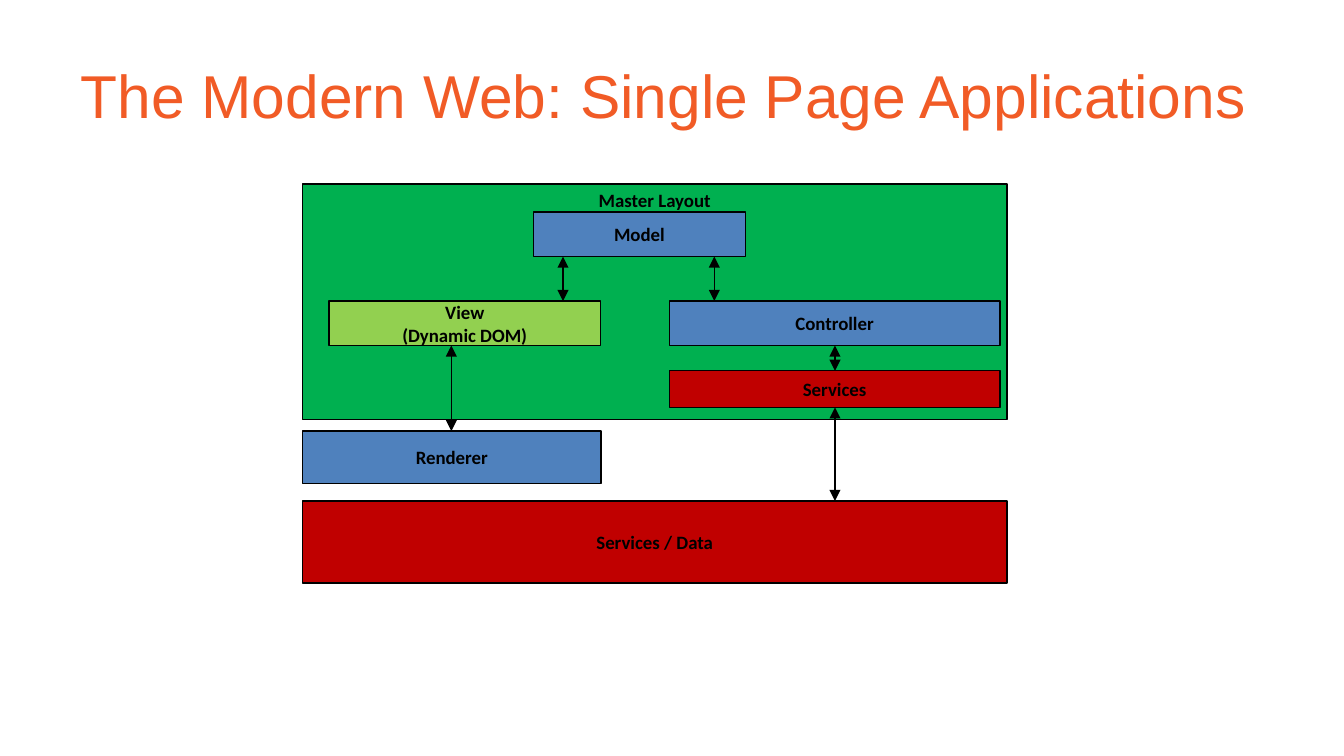
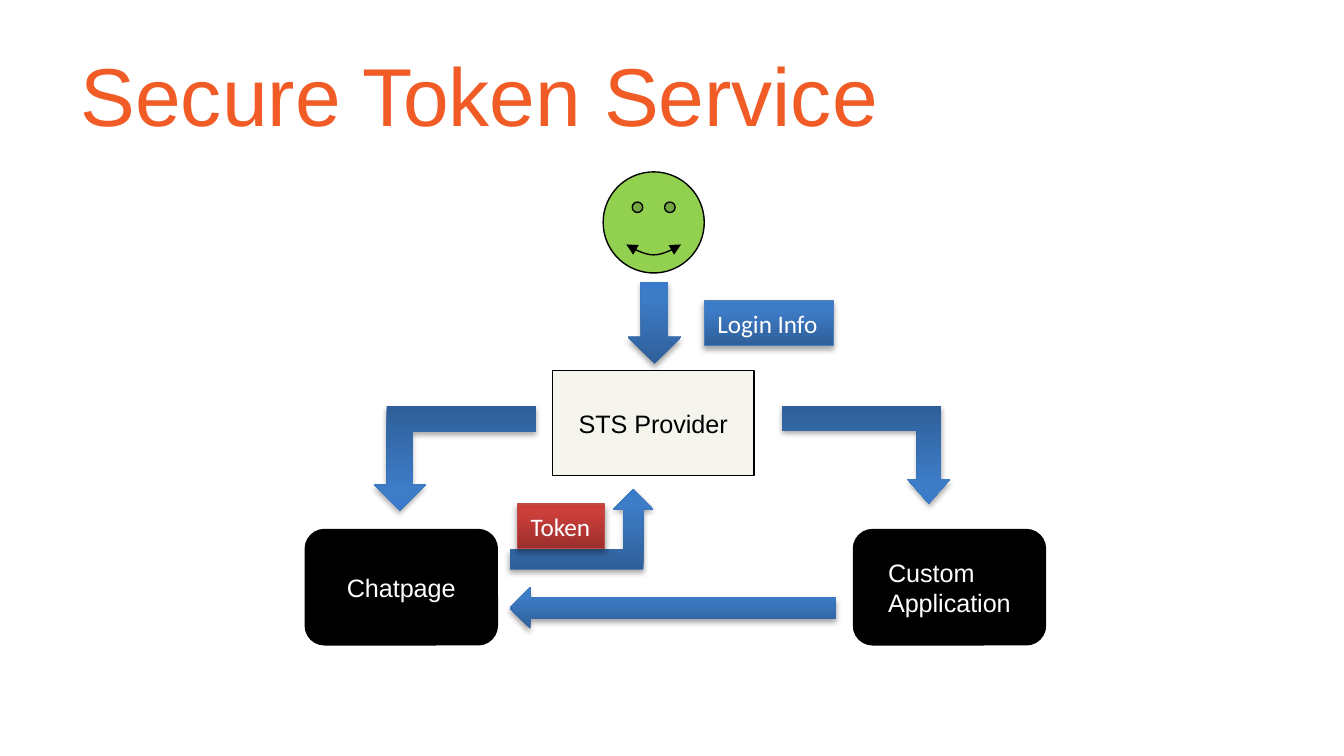
import pptx
import pptx.util
import pptx.dml.color
import pptx.enum.shapes
import pptx.enum.text
import pptx.oxml
import pptx.oxml.ns
from lxml import etree

Cm, Pt = pptx.util.Cm, pptx.util.Pt
Kind = pptx.enum.shapes.MSO_SHAPE
Align = pptx.enum.text.PP_ALIGN
Anchor = pptx.enum.text.MSO_ANCHOR
Fit = pptx.enum.text.MSO_AUTO_SIZE
qn = pptx.oxml.ns.qn

BLACK, WHITE, ORANGE = "000000", "FFFFFF", "F15B26"
BLUE, RED, GREEN, LIME, CREAM = "4F81BD", "C00000", "00B050", "92D050", "F5F4ED"
BLUE_FADE = [(0, "2F5F99"), (80, "3D7CC7"), (100, "3A7CCB")]
RED_FADE = [(0, "9C2F2D"), (80, "CB3E3A"), (100, "CE3B37")]

LAYERS = {
    "Services / Data": (5.72, 9.47, 13.31, 1.55, RED),
    "Master Layout": (5.72, 3.48, 13.31, 4.45, GREEN),
    "Controller": (12.65, 5.69, 6.25, 0.84, BLUE),
    "Model": (10.08, 4.01, 4.01, 0.84, BLUE),
    "View\n(Dynamic DOM)": (6.22, 5.69, 5.13, 0.84, LIME),
    "Renderer": (5.72, 8.15, 5.64, 0.99, BLUE),
    "Services": (12.65, 7.01, 6.25, 0.69, RED),
}
LINKS = [
    (13.5, "Model", "Controller"),
    (10.64, "Model", "View\n(Dynamic DOM)"),
    (8.53, "View\n(Dynamic DOM)", "Renderer"),
    (15.78, "Services", "Services / Data"),
    (15.78, "Controller", "Services"),
]

PARTIES = [
    ("STS Provider", Kind.RECTANGLE, (10.44, 7.01, 3.81, 1.98), CREAM, BLACK),
    ("Chatpage", Kind.ROUNDED_RECTANGLE, (5.77, 10.01, 3.63, 2.18), BLACK, WHITE),
    ("Custom Application", Kind.ROUNDED_RECTANGLE, (16.13, 10.01, 3.63, 2.18), BLACK, WHITE),
]
USER_FACE = (11.4, 3.25, 1.91, 1.91)
FLOWS = [
    (Kind.DOWN_ARROW, (11.86, 5.33, 1.02, 1.55), 0, False),
    (Kind.BENT_UP_ARROW, (7.06, 7.67, 3.07, 1.98), 180, False),
    (Kind.BENT_UP_ARROW, (9.63, 9.25, 2.72, 1.52), 0, False),
    (Kind.BENT_UP_ARROW, (14.78, 7.67, 3.18, 1.85), 180, True),
    (Kind.LEFT_ARROW, (9.63, 11.1, 6.17, 0.79), 0, False),
]
LABELS = [
    ("Login Info", (13.31, 5.69, 2.44, 0.84), BLUE_FADE, "4B7EBC"),
    ("Token", (9.78, 9.53, 1.65, 0.84), RED_FADE, "BF4C48"),
]


def color(value):
    return pptx.dml.color.RGBColor.from_string(value)


def add_page(deck, title, size):
    page = deck.slides.add_slide(deck.slide_layouts[5])
    box = page.shapes.title
    box.left, box.top, box.width, box.height = Cm(1.27), Cm(0.58), Cm(22.86), Cm(2.39)
    box.text_frame.auto_size = Fit.NONE
    write(box, title, size, ORANGE, "Arial", Align.LEFT)
    return page


def write(box, text, size, ink, font, align, bold=False, insets=None, anchor=Anchor.MIDDLE):
    frame = box.text_frame
    frame.word_wrap = True
    frame.vertical_anchor = anchor
    if insets:
        frame.margin_left = frame.margin_right = Cm(insets[0])
        frame.margin_top = frame.margin_bottom = Cm(insets[1])
    for index, line in enumerate(text.split("\n")):
        para = frame.add_paragraph() if index else frame.paragraphs[0]
        para.alignment = align
        span = para.add_run()
        span.text = line
        span.font.name, span.font.size, span.font.bold = font, Pt(size), bold
        span.font.color.rgb = color(ink)


def add_box(page, kind, place, fill, outline=BLACK):
    box = page.shapes.add_shape(kind, *map(Cm, place))
    box.shadow.inherit = False
    if isinstance(fill, str):
        box.fill.solid()
        box.fill.fore_color.rgb = color(fill)
    else:
        fade(box, fill)
    if outline:
        draw_line(box, outline)
    else:
        box.line.fill.background()
    return box


def draw_line(item, ink=BLACK):
    item.line.color.rgb = color(ink)
    item.line.width = Pt(0.75)


def fade(box, stops):
    box.fill.gradient()
    box.fill.gradient_angle = 90
    props = box.element.spPr
    stop_list = props.find(".//" + qn("a:gsLst"))
    for stop in list(stop_list):
        stop_list.remove(stop)
    for percent, value in stops:
        stop = etree.SubElement(stop_list, qn("a:gs"), pos=str(percent * 1000))
        etree.SubElement(stop, qn("a:srgbClr"), val=value)
    shadow = etree.SubElement(props.find(qn("a:effectLst")), qn("a:outerShdw"),
                              blurRad=str(Pt(3.1)), dist=str(Pt(1.8)),
                              dir="5400000", rotWithShape="0")
    tint = etree.SubElement(shadow, qn("a:srgbClr"), val=BLACK)
    etree.SubElement(tint, qn("a:alpha"), val="35000")


def add_arrowheads(item):
    line = item.element.spPr.find(qn("a:ln"))
    for end in ("a:headEnd", "a:tailEnd"):
        etree.SubElement(line, qn(end), type="triangle")


def add_link(page, x, upper, lower):
    start = LAYERS[upper][1] + LAYERS[upper][3]
    link = page.shapes.add_connector(pptx.enum.shapes.MSO_CONNECTOR.STRAIGHT,
                                     Cm(x), Cm(start), Cm(x), Cm(LAYERS[lower][1]))
    draw_line(link)
    add_arrowheads(link)
    etree.SubElement(link.element.spPr, qn("a:effectLst"))


def build_web_page(deck):
    page = add_page(deck, "The Modern Web: Single Page Applications", 32.4)
    for name, (*place, fill) in LAYERS.items():
        box = add_box(page, Kind.RECTANGLE, place, fill)
        anchor = Anchor.TOP if name == "Master Layout" else Anchor.MIDDLE
        write(box, name, 10.1, BLACK, "Calibri", Align.CENTER, True, (0.15, 0.08), anchor)
    for link in LINKS:
        add_link(page, *link)


def build_token_page(deck):
    page = add_page(deck, "Secure Token Service", 44)
    add_arrowheads(add_box(page, Kind.SMILEY_FACE, USER_FACE, LIME))
    for name, kind, place, fill, ink in PARTIES:
        box = add_box(page, kind, place, fill)
        write(box, name, 13.5, ink, "Arial", Align.LEFT, insets=(0.17, 0.1))
        box.text_frame._txBody.bodyPr.set("anchorCtr", "1")
    for kind, place, turn, mirrored in FLOWS:
        arrow = add_box(page, kind, place, BLUE_FADE, None)
        arrow.rotation = turn
        if mirrored:
            arrow.element.spPr.find(qn("a:xfrm")).set("flipH", "1")
            arrow.adjustments[1] = 0.22
    for name, place, stops, outline in LABELS:
        box = add_box(page, Kind.RECTANGLE, place, stops, outline)
        write(box, name, 13.5, WHITE, "Calibri", Align.LEFT)
        box.text_frame.word_wrap = False
        box.text_frame.auto_size = Fit.SHAPE_TO_FIT_TEXT


def main():
    deck = pptx.Presentation()
    deck.slide_width, deck.slide_height = Cm(25.4), Cm(14.29)
    build_web_page(deck)
    build_token_page(deck)
    deck.save("out.pptx")


if __name__ == "__main__":
    main()
